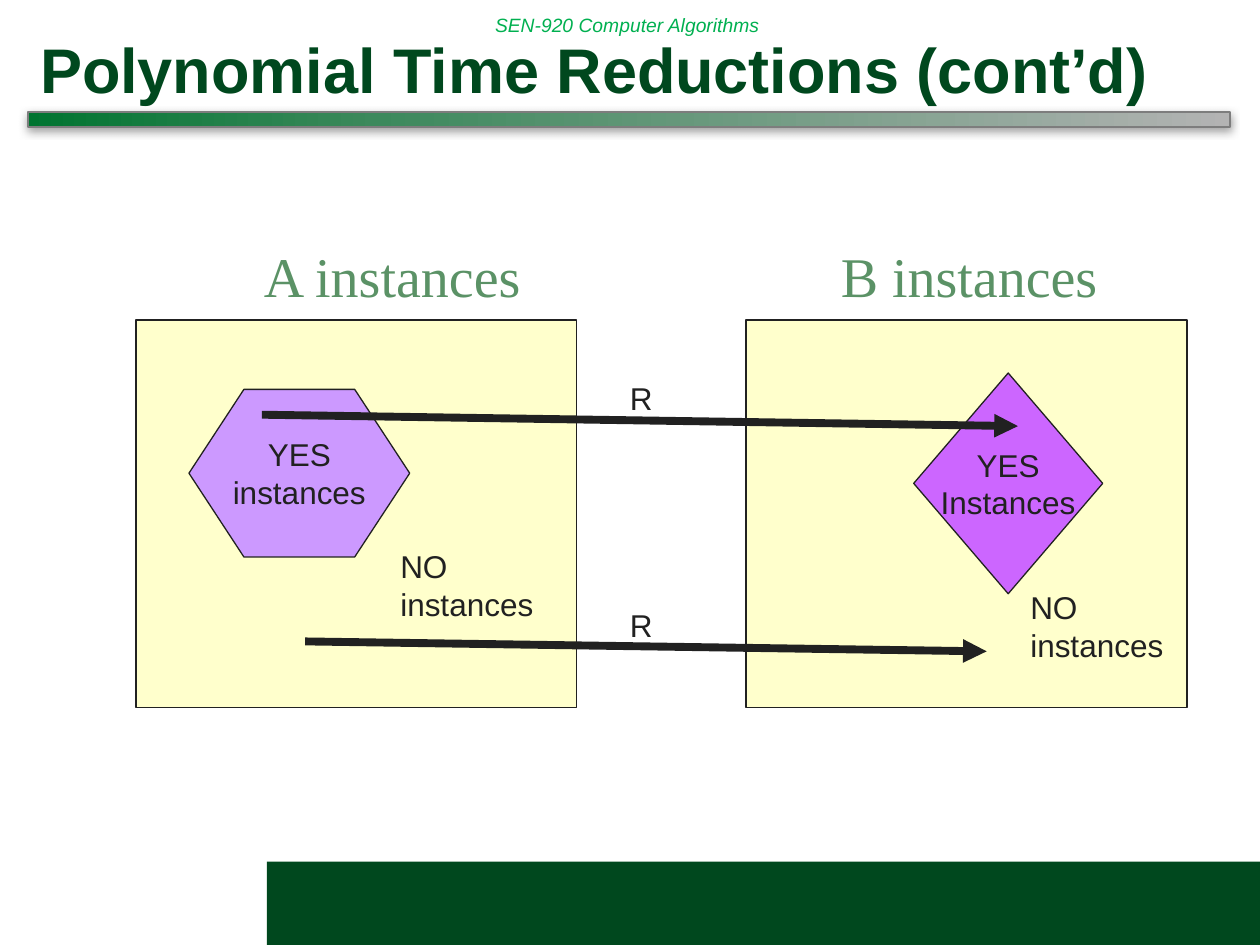
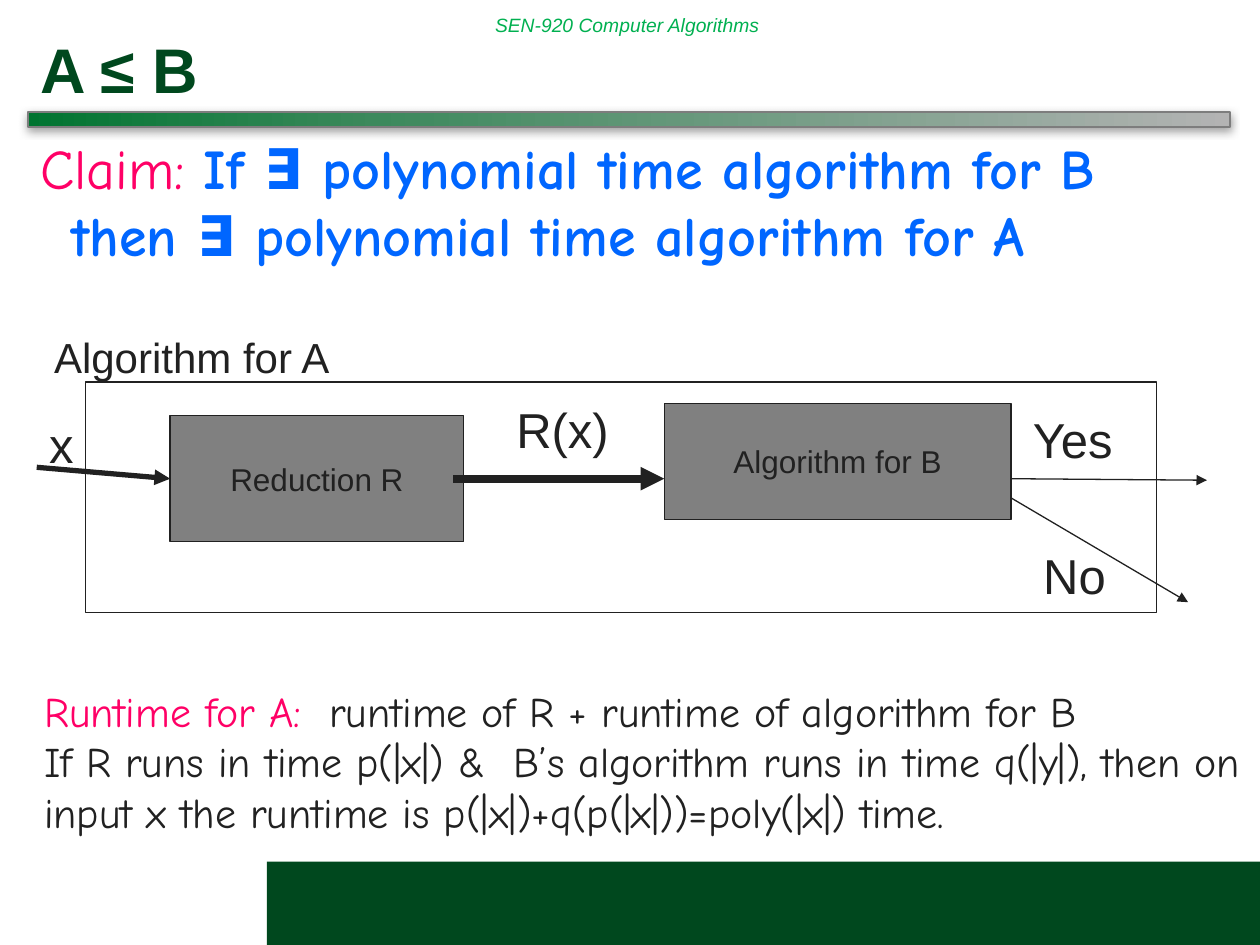
from copy import deepcopy
from pptx import Presentation, util as u
from pptx.dml.color import RGBColor
from pptx.enum import shapes, text
from pptx.oxml import parse_xml
from pptx.oxml.ns import nsdecls, qn

INK, GREEN, PINK, BLUE = "212121", "00481E", "FF0066", "0066FF"
GRAY, CREAM = "808080", "FFFFCC"
SANS, COMIC, SERIF = "Arial", "Comic Neue", "Times New Roman"
KIND = shapes.MSO_SHAPE
HEAD = "SEN-920 Computer Algorithms"
FADE = [(0, "007430"), (0.29, "3C895C"), (1, "B3B3B3")]

MAPS = {
    "title": "Polynomial Time Reductions (cont’d)",
    "shapes": [
        (KIND.RECTANGLE, (2.74, 6.45, 8.89, 7.82), CREAM, []),
        (KIND.HEXAGON, (3.81, 7.85, 4.45, 3.38), "CC99FF", ["YES", "instances"]),
        (KIND.RECTANGLE, (15.04, 6.45, 8.89, 7.82), CREAM, []),
        (KIND.DIAMOND, (18.42, 7.52, 3.81, 4.45), "CC66FF", ["YES", "Instances"]),
    ],
    "arrows": [
        ((5.28, 8.36), (20.52, 8.59), 4.5),
        ((6.15, 12.93), (19.89, 13.13), 4.5),
    ],
    "labels": [
        ((5.07, 4.75, 5.8, 1.5), ["A instances"], 32, SERIF, "5B9266"),
        ((16.7, 4.75, 5.8, 1.5), ["B instances"], 32, SERIF, "5B9266"),
        ((7.82, 10.9, 3.2, 1.78), ["NO", "instances"], 18, SANS, INK),
        ((20.52, 11.73, 3.2, 1.78), ["NO", "instances"], 18, SANS, INK),
        ((12.45, 7.52, 1, 1), ["R"], 18, SANS, INK),
        ((12.45, 12.09, 1, 1), ["R"], 18, SANS, INK),
    ],
    "prose": [],
}

CLAIM = {
    "title": "A ≤ B",
    "shapes": [
        (KIND.RECTANGLE, (3.43, 8.38, 5.92, 2.54), GRAY, ["Reduction R"]),
        (KIND.RECTANGLE, (13.39, 8.13, 6.99, 2.34), GRAY, ["Algorithm for B"]),
        (KIND.RECTANGLE, (1.73, 7.7, 21.59, 4.65), None, []),
    ],
    "arrows": [
        ((0.74, 9.42), (3.43, 9.65), 3),
        ((9.14, 9.65), (13.39, 9.65), 4.5),
        ((20.37, 9.65), (24.33, 9.68), 0.75),
        ((20.37, 10.03), (23.95, 12.14), 0.75),
    ],
    "labels": [
        ((0.74, 8.23, 1.02, 1.45), ["x"], 28, SANS, INK),
        ((10.16, 7.92, 2.39, 1.45), ["R(x)"], 28, SANS, INK),
        ((20.57, 8.13, 2.21, 1.45), ["Yes"], 28, SANS, INK),
        ((20.78, 10.87, 1.78, 1.45), ["No"], 28, SANS, INK),
        ((0.84, 6.55, 6.12, 1.27), ["Algorithm for A"], 24, SANS, INK),
    ],
    "prose": [
        ((0.56, 2.57, 23.1, 4), 32, 0.63, [[
            ("Claim: ", PINK, False),
            ("If ∃ polynomial time algorithm for B "
             "then ∃ polynomial time algorithm for A", BLUE, True)]]),
        ((0.64, 13.69, 24.76, 4.32), 24, 0, [
            [("Runtime for A:", PINK, False),
             ("  runtime of R + runtime of algorithm for B", INK, False)],
            [("If R runs in time p(|x|) &  B’s algorithm runs in time q(|y|), "
              "then on input x the runtime is p(|x|)+q(p(|x|))=poly(|x|) time.",
              INK, False)]]),
    ],
}


def rgb(code):
    return RGBColor.from_string(code)


def cms(nums):
    return [u.Cm(n) for n in nums]


def style(font, size, face, color, bold=False, slant=False):
    font.size, font.name = u.Pt(size), face
    font.bold, font.italic = bold, slant
    font.color.rgb = rgb(color)


def write(frame, lines, size, face, color, **look):
    frame.text = "\n".join(lines)
    for par in frame.paragraphs:
        style(par.font, size, face, color, **look)


def label(slide, box, lines, size, face, color, anchor="TOP", **look):
    frame = slide.shapes.add_textbox(*cms(box)).text_frame
    frame.word_wrap = False
    frame.vertical_anchor = text.MSO_ANCHOR[anchor]
    write(frame, lines, size, face, color, **look)


def block(slide, kind, box, fill, line=INK, width=0.75):
    shape = slide.shapes.add_shape(kind, *cms(box))
    shape.shadow.inherit = False
    if fill:
        shape.fill.solid()
        shape.fill.fore_color.rgb = rgb(fill)
    else:
        shape.fill.background()
    if line:
        shape.line.color.rgb = rgb(line)
        shape.line.width = u.Pt(width)
    else:
        shape.line.fill.background()
    return shape


def node(slide, kind, box, fill, lines):
    shape = block(slide, kind, box, fill)
    if kind == KIND.HEXAGON:
        shape.adjustments[0] = 0.328
    if lines:
        frame = shape.text_frame
        frame.word_wrap = False
        frame.vertical_anchor = text.MSO_ANCHOR.MIDDLE
        write(frame, lines, 18, SANS, INK)
        for par in frame.paragraphs:
            par.alignment = text.PP_ALIGN.CENTER


def arrow(slide, start, end, width):
    line = slide.shapes.add_connector(
        shapes.MSO_CONNECTOR.STRAIGHT, *cms(start + end))
    line.line.color.rgb = rgb(INK)
    line.line.width = u.Pt(width)
    props = line.element.spPr
    props.find(qn("a:ln")).append(
        parse_xml(f'<a:tailEnd {nsdecls("a")} type="triangle"/>'))
    props.append(parse_xml(f'<a:effectLst {nsdecls("a")}/>'))


def prose(slide, box, size, hang, pars):
    frame = slide.shapes.add_textbox(*cms(box)).text_frame
    frame.word_wrap = True
    for num, runs in enumerate(pars):
        par = frame.add_paragraph() if num else frame.paragraphs[0]
        if hang:
            props = par._p.get_or_add_pPr()
            props.set("marL", str(u.Cm(hang)))
            props.set("indent", str(-u.Cm(hang)))
        for words, color, bold in runs:
            run = par.add_run()
            run.text = words
            style(run.font, size, COMIC, color, bold)


def rule(slide):
    bar = block(slide, KIND.RECTANGLE, (0.56, 2.26, 24.23, 0.3), None, "7D7D7D", 1)
    bar.fill.gradient()
    bar.fill.gradient_angle = 0
    props = bar.element.spPr
    stops = props.find(".//" + qn("a:gsLst"))
    stops.append(deepcopy(stops[0]))
    for stop, (pos, color) in zip(bar.fill.gradient_stops, FADE):
        stop.position = pos
        stop.color.rgb = rgb(color)
    props.find(qn("a:effectLst")).append(parse_xml(
        f'<a:outerShdw {nsdecls("a")} blurRad="{u.Pt(5)}" dist="{u.Pt(2)}" '
        f'dir="5400000" rotWithShape="0"><a:srgbClr val="{GRAY}">'
        '<a:alpha val="75000"/></a:srgbClr></a:outerShdw>'))


def base(slide, title):
    block(slide, KIND.RECTANGLE, (5.38, 17.37, 20.02, 1.68), GREEN, None)
    label(slide, (9.73, 0, 11.71, 1.02), [HEAD], 11, SANS, "00B050",
          "MIDDLE", slant=True)
    rule(slide)
    label(slide, (0.56, 0.41, 24.23, 1.85), [title], 36, SANS, GREEN,
          "BOTTOM", bold=True)


def main():
    deck = Presentation()
    deck.slide_width, deck.slide_height = cms((25.4, 19.05))
    for page in (MAPS, CLAIM):
        slide = deck.slides.add_slide(deck.slide_layouts[6])
        base(slide, page["title"])
        for key, draw in (("shapes", node), ("arrows", arrow),
                          ("labels", label), ("prose", prose)):
            for item in page[key]:
                draw(slide, *item)
    deck.save("out.pptx")


if __name__ == "__main__":
    main()
